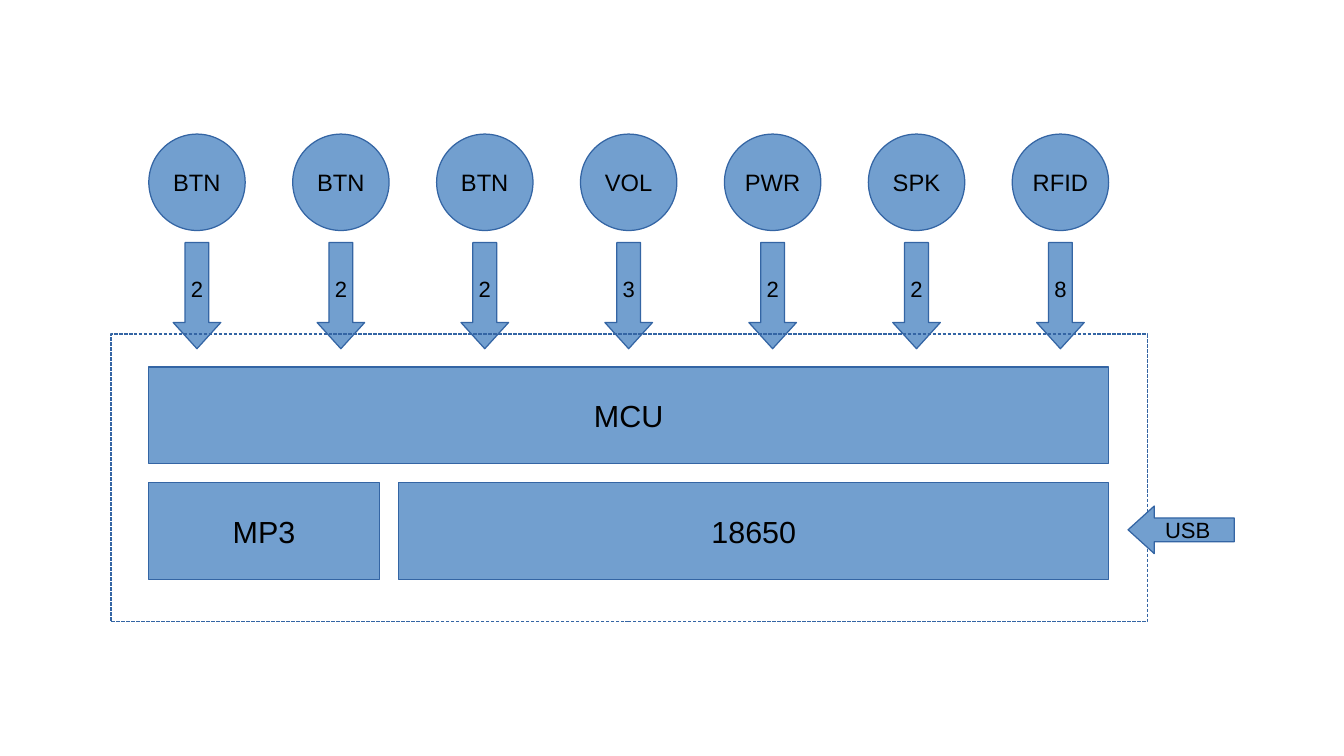
import pptx
import pptx.dml.color
import pptx.enum.dml
import pptx.enum.shapes
import pptx.enum.text
import pptx.util

Inches = pptx.util.Inches
SHAPES = pptx.enum.shapes.MSO_SHAPE


def color(value):
    return pptx.dml.color.RGBColor.from_string(value)


class Diagram:
    fill = "729FCF"
    line = "3465A4"
    text = "000000"
    font = "Arial"
    frame_format = {
        "word_wrap": False,
        "vertical_anchor": pptx.enum.text.MSO_ANCHOR.MIDDLE,
        "margin_left": Inches(0.1),
        "margin_right": Inches(0.1),
        "margin_top": Inches(0.05),
        "margin_bottom": Inches(0.05),
    }

    def __init__(self, slide):
        self.slide = slide

    def shape(self, kind, x, y, w, h):
        sp = self.slide.shapes.add_shape(kind, Inches(x), Inches(y), Inches(w), Inches(h))
        sp.shadow.inherit = False
        sp.line.color.rgb = color(self.line)
        sp.line.width = pptx.util.Pt(0)
        return sp

    def block(self, kind, label, x, y, w, h, size=18):
        sp = self.shape(kind, x, y, w, h)
        sp.fill.solid()
        sp.fill.fore_color.rgb = color(self.fill)
        tf = sp.text_frame
        for name, value in self.frame_format.items():
            setattr(tf, name, value)
        p = tf.paragraphs[0]
        p.alignment = pptx.enum.text.PP_ALIGN.CENTER
        r = p.add_run()
        r.text = label
        font_format = {"name": self.font, "size": pptx.util.Pt(size)}
        for name, value in font_format.items():
            setattr(r.font, name, value)
        r.font.color.rgb = color(self.text)
        return sp

    def arrow(self, kind, label, x, y, w, h):
        sp = self.block(kind, label, x, y, w, h, 13)
        sp.adjustments[0] = 0.5
        sp.adjustments[1] = 0.55

    def enclosure(self, x, y, w, h):
        sp = self.shape(SHAPES.RECTANGLE, x, y, w, h)
        sp.fill.background()
        sp.line.dash_style = pptx.enum.dml.MSO_LINE.SQUARE_DOT


def main():
    prs = pptx.Presentation()
    prs.slide_width = Inches(11.02)
    prs.slide_height = Inches(6.2)
    s = prs.slides.add_slide(prs.slide_layouts[6])
    diagram = Diagram(s)

    peripherals = [("BTN", "2"), ("BTN", "2"), ("BTN", "2"), ("VOL", "3"),
                   ("PWR", "2"), ("SPK", "2"), ("RFID", "8")]
    left, right, size = 1.22, 9.09, 0.79
    pitch = (right - left - size) / (len(peripherals) - 1)
    arrow_width, arrow_length = 0.39, 0.87
    columns = [left + i * pitch for i in range(len(peripherals))]

    for x, (name, wires) in zip(columns, peripherals):
        diagram.block(SHAPES.OVAL, name, x, 1.1, size, size, 14)
        diagram.arrow(SHAPES.DOWN_ARROW, wires, x + (size - arrow_width) / 2, 1.99,
                      arrow_width, arrow_length)

    diagram.enclosure(0.91, 2.74, 8.5, 2.36)
    for name, x, y, w in [("MCU", left, 3.01, right - left),
                          ("MP3", left, 3.96, 1.89),
                          ("18650", 3.27, 3.96, right - 3.27)]:
        diagram.block(SHAPES.RECTANGLE, name, x, y, w, size)
    diagram.arrow(SHAPES.LEFT_ARROW, "USB", 9.25, 4.15, arrow_length, arrow_width)

    prs.save("out.pptx")


if __name__ == "__main__":
    main()
